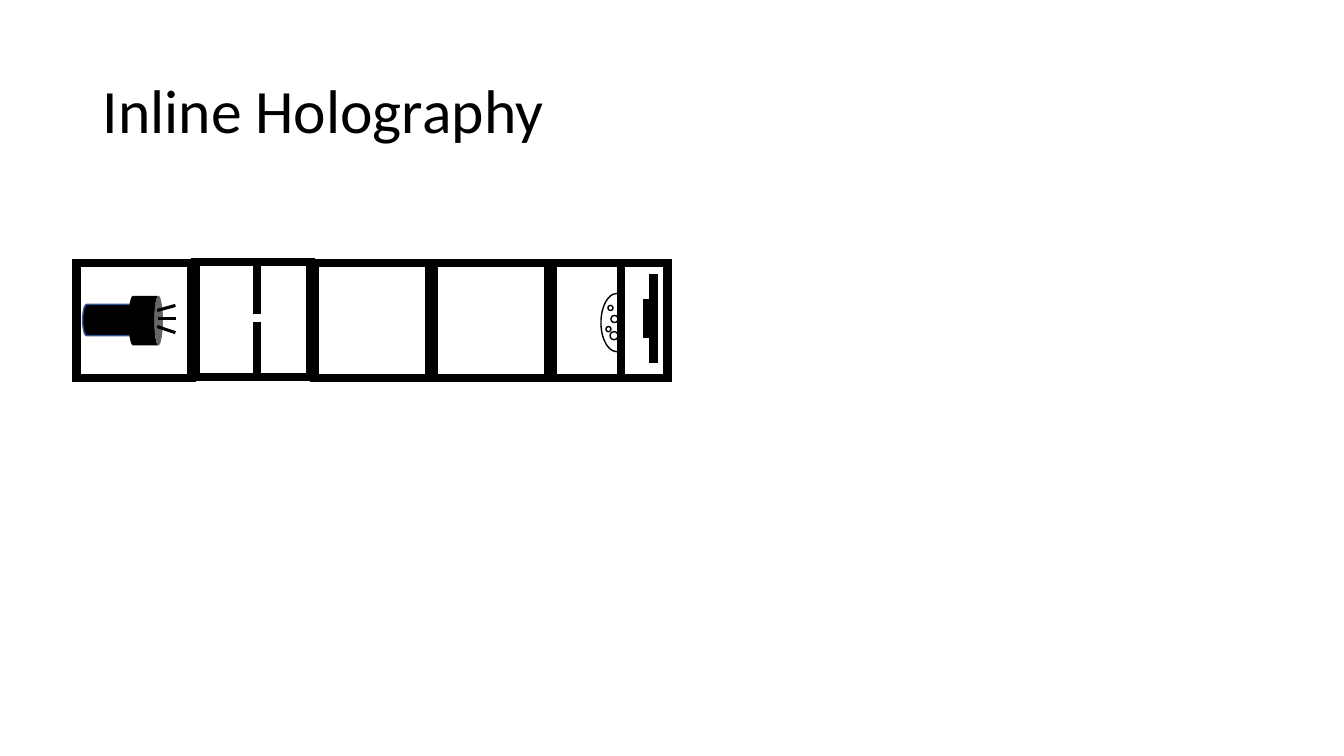
"""Build the Inline Holography slide: light source, pinhole, two gaps, sample and sensor."""
from pptx import Presentation
from pptx.dml.color import RGBColor
from pptx.enum.shapes import MSO_CONNECTOR, MSO_SHAPE
from pptx.enum.text import MSO_ANCHOR
from pptx.oxml.ns import qn
from pptx.util import Inches, Pt
from lxml.etree import SubElement

BLACK = RGBColor(0x00, 0x00, 0x00)
BLUE = RGBColor(0x32, 0x54, 0x91)

deck = Presentation()
deck.slide_width, deck.slide_height = Inches(13.33), Inches(7.5)
page = deck.slides.add_slide(deck.slide_layouts[6])


def add_part(kind, left, top, width, height, rotation=0, fill=None, line=BLACK, weight=1):
    part = page.shapes.add_shape(kind, Inches(left), Inches(top), Inches(width), Inches(height))
    part.rotation = rotation
    part.shadow.inherit = False
    if fill is None:
        part.fill.background()
    else:
        part.fill.solid()
        part.fill.fore_color.rgb = fill
    if line is None:
        part.line.fill.background()
    else:
        part.line.color.rgb = line
        part.line.width = Pt(weight)
        SubElement(part.line._get_or_add_ln(), qn("a:miter"), lim="800000")
    return part


def add_bar(x1, y1, x2, y2, weight=6):
    bar = page.shapes.add_connector(
        MSO_CONNECTOR.STRAIGHT, Inches(x1), Inches(y1), Inches(x2), Inches(y2))
    bar.line.color.rgb = BLACK
    bar.line.width = Pt(weight)
    SubElement(bar._element.spPr, qn("a:effectLst"))


title = page.shapes.add_textbox(Inches(0.92), Inches(0.4), Inches(11.5), Inches(1.45))
title.text_frame.word_wrap = True
title.text_frame.vertical_anchor = MSO_ANCHOR.MIDDLE
para = title.text_frame.paragraphs[0]
para.line_spacing = 0.9
span = para.add_run()
span.text = "Inline Holography"
span.font.name = "Calibri"
span.font.size = Pt(44)
span.font.color.rgb = BLACK

for column, top in enumerate([2.61, 2.6, 2.61, 2.61, 2.61]):
    add_part(MSO_SHAPE.RECTANGLE, 0.76 + 1.18 * column, top, 1.14, 1.14, weight=6)

for pinhole_start, pinhole_end in [(3.74, 3.19), (3.12, 2.57)]:
    add_bar(2.55, pinhole_start, 2.55, pinhole_end)

add_part(MSO_SHAPE.CAN, 1.06, 2.78, 0.31, 0.79, 90, BLACK, BLUE)
add_part(MSO_SHAPE.CAN, 1.2, 3.01, 0.49, 0.34, 90, BLACK, None)
for x1, y1, x2, y2 in [(1.57, 3.16, 1.75, 3.16), (1.56, 3.24, 1.74, 3.3), (1.56, 3.08, 1.74, 3.03)]:
    add_bar(x1, y1, x2, y2, 2.25)

for x, top, bottom in [(6.48, 2.72, 3.6), (6.42, 2.97, 3.35), (6.16, 2.63, 3.73)]:
    add_bar(x, top, x, bottom)

droplet = add_part(MSO_SHAPE.ARC, 5.96, 2.91, 0.32, 0.58, 180)
droplet.adjustments[0] = 162
droplet.adjustments[1] = 58.81
for left, top, size in [(6.05, 3.29, 0.08), (6.01, 3.24, 0.05), (6.06, 3.13, 0.07), (6.03, 3.03, 0.05)]:
    add_part(MSO_SHAPE.OVAL, left, top, size, size)

deck.save("out.pptx")
